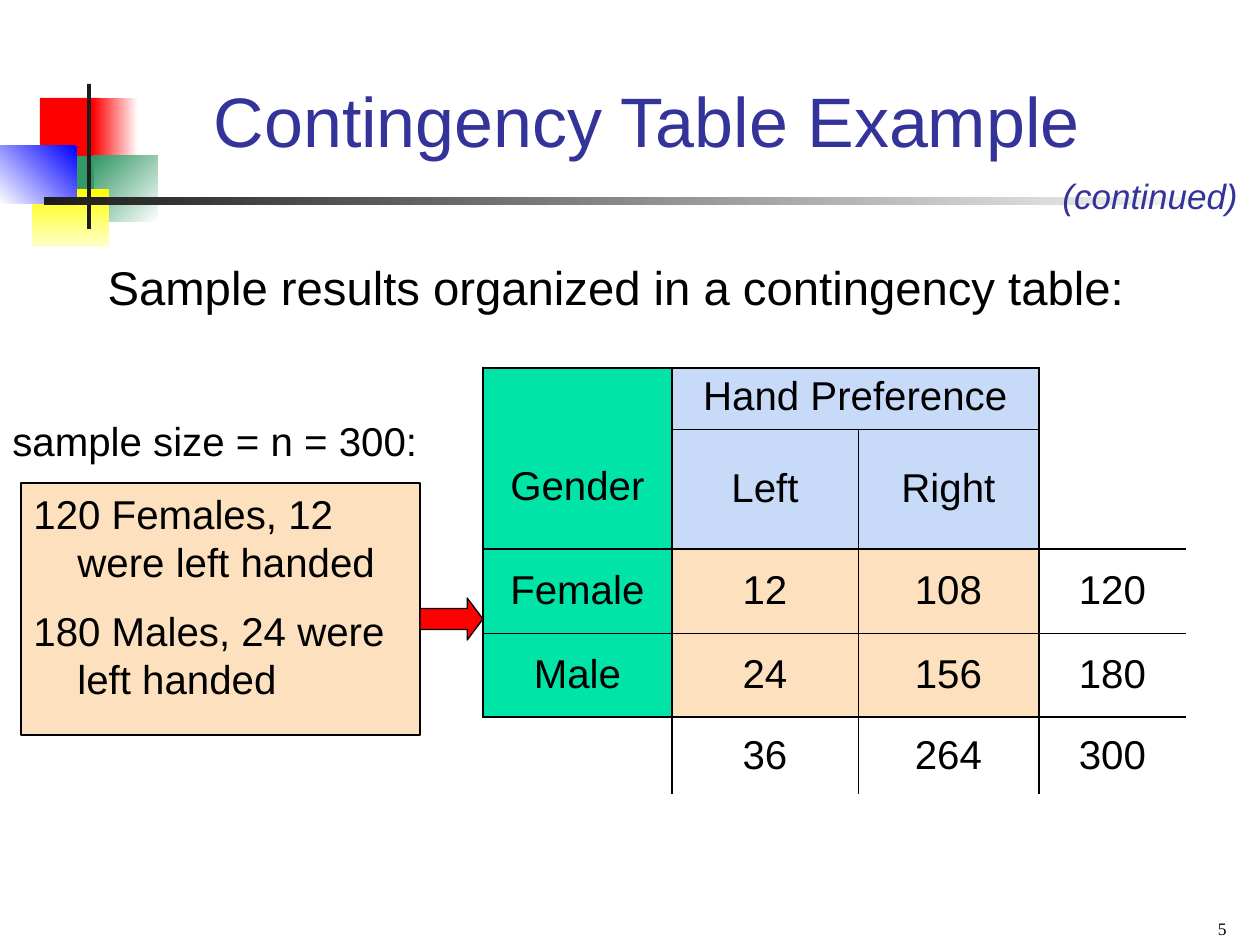
from pptx import Presentation
from pptx.dml.color import RGBColor as RGB
from pptx.enum.shapes import MSO_SHAPE as Shp
from pptx.enum.text import MSO_ANCHOR as Anc, MSO_AUTO_SIZE as Fit, PP_ALIGN as Al
from pptx.oxml.ns import qn
from pptx.util import Pt
from lxml.etree import SubElement as Sub

PX = 914400 / 126


class Theme:
    ink, navy, red = "000000", "333399", "FF0000"
    green, blue, peach = "00E4A8", "C7DAF7", "FDE0BD"
    font, serif = "Arial", "Times New Roman"
    head, lead, text, note, num = 40, 27, 23, 20, 10


# Content
TITLE = "Contingency Table Example"
LEAD = "Sample results organized in a contingency table:"
SIZE = "sample size = n = 300:"
FACTS = ["120 Females, 12 were left handed", "180 Males, 24 were left handed"]
ROWS = [
    ["Gender", "Hand Preference", "", ""],
    ["", "Left", "Right", ""],
    ["Female", "12", "108", "120"],
    ["Male", "24", "156", "180"],
    ["", "36", "264", "300"],
]
SPANS = [((0, 0), (1, 0)), ((0, 1), (0, 2)), ((0, 3), (1, 3))]
COLS, HIGH = [189, 186, 181, 147], [61, 120, 84, 84, 77]

# Border weights: upright edges by row, level edges from top to bottom
BOLD, MID, THIN = 1.47, 1.08, 0.45
BODY = [BOLD, MID, THIN, BOLD, 0]
EDGE_V = [[BOLD, MID, 0, BOLD, 0], BODY, BODY, BODY, [0, MID, THIN, MID, 0]]
EDGE_H = [
    [BOLD, BOLD, BOLD, 0],
    [0, THIN, THIN, 0],
    [MID] * 4,
    [THIN] * 4,
    [BOLD, BOLD, BOLD, MID],
    [0] * 4,
]

# Corner art: box, colours, clockwise gradient angle
ART = [
    ((40, 98, 60, 66), ["FF0000"], 0),
    ((93, 98, 45, 66), ["FFFFFF", "FF0000"], 180),
    ((94, 156, 64, 66), ["FFFFFF", "339966"], 225),
    ((54, 156, 40, 66), ["339966"], 0),
    ((32, 189, 77, 58), ["FFFF00", "FFFFCC"], 90),
    ((0, 146, 77, 58), ["0000FF", "FFFFFF"], 135),
    ((87, 84, 4, 145), ["1C1C1C"], 0),
    ((44, 197, 1198, 8), ["FFFFFF", "1C1C1C"], 180),
]


def px(n):
    return round(n * PX)


def paint(fill, tint):
    fill.solid()
    fill.fore_color.rgb = RGB.from_string(tint)


def write(frame, lines, size, tint=Theme.ink, font=Theme.font, al=Al.LEFT,
          anchor=Anc.TOP, hang=0, gap=0, italic=False):
    frame.word_wrap = True
    frame.vertical_anchor = anchor
    for i, line in enumerate(lines):
        par = frame.paragraphs[0] if i == 0 else frame.add_paragraph()
        par.text = line
        par.alignment = al
        par.space_before = Pt(gap if i else 0)
        props = par._p.get_or_add_pPr()
        props.set("marL", str(px(hang)))
        props.set("indent", str(-px(hang)))
        Sub(props, qn("a:buNone"))
        face = par.font
        face.name, face.size, face.italic = font, Pt(size), italic
        face.color.rgb = RGB.from_string(tint)


def shape(kind, box, tint=None, line=None):
    item = shapes.add_shape(kind, *map(px, box))
    item.shadow.inherit = False
    if tint:
        paint(item.fill, tint)
    if line:
        item.line.color.rgb = RGB.from_string(line)
        item.line.width = Pt(0.75)
    else:
        item.line.fill.background()
    return item


def holder(item, box, *args, **opts):
    item.left, item.top, item.width, item.height = map(px, box)
    shapes.element.append(item.element)  # bring above the corner art
    item.text_frame.auto_size = Fit.NONE
    write(item.text_frame, *args, **opts)


def label(box, *args, **opts):
    write(shapes.add_textbox(*map(px, box)).text_frame, *args, **opts)


def border(cell, r, c):
    props = cell._tc.get_or_add_tcPr()
    sides = {"L": EDGE_V[r][c], "R": EDGE_V[r][c + 1],
             "T": EDGE_H[r][c], "B": EDGE_H[r + 1][c]}
    for side, weight in sides.items():
        line = Sub(props, qn("a:ln" + side), w=str(Pt(weight)))
        if weight:
            Sub(Sub(line, qn("a:solidFill")), qn("a:srgbClr"), val=Theme.ink)
        else:
            Sub(line, qn("a:noFill"))


def tint_of(r, c):
    if r == 4 or c == 3:
        return None
    if c == 0:
        return Theme.green
    return Theme.blue if r < 2 else Theme.peach


deck = Presentation()
deck.slide_width, deck.slide_height = px(1260), px(945)
slide = deck.slides.add_slide(deck.slide_layouts[1])
shapes = slide.shapes

# Corner art
for box, tints, angle in ART:
    item = shape(Shp.RECTANGLE, box, tints[0])
    if len(tints) == 2:
        item.fill.gradient()
        item.fill.gradient_angle = 360 - angle
        for stop, tint in zip(item.fill.gradient_stops, tints):
            stop.color.rgb = RGB.from_string(tint)

# Title and lead
holder(shapes.title, (159, 32, 975, 136), [TITLE], Theme.head, Theme.navy,
       al=Al.CENTER, anchor=Anc.BOTTOM)
holder(slide.placeholders[1], (95, 252, 1092, 84), [LEAD], Theme.lead, hang=44)
label((1050, 168, 210, 55), ["(continued)"], Theme.note, Theme.navy, italic=True)

# Contingency table
grid = shapes.add_table(len(HIGH), len(COLS), px(483), px(368),
                        px(sum(COLS)), px(sum(HIGH))).table
grid.first_row = grid.horz_banding = False
for col, wide in zip(grid.columns, COLS):
    col.width = px(wide)
for row, high in zip(grid.rows, HIGH):
    row.height = px(high)
for start, end in SPANS:
    grid.cell(*start).merge(grid.cell(*end))
for r, row in enumerate(ROWS):
    for c, word in enumerate(row):
        cell = grid.cell(r, c)
        border(cell, r, c)
        tint = tint_of(r, c)
        if tint:
            paint(cell.fill, tint)
        else:
            cell.fill.background()
        if word:
            write(cell.text_frame, [word], Theme.text, al=Al.CENTER)
            cell.vertical_anchor = Anc.MIDDLE if r else Anc.TOP
grid.cell(0, 0).vertical_anchor = Anc.MIDDLE
grid.cell(0, 0).margin_top = px(62)

# Sample facts, arrow and labels
facts = shape(Shp.RECTANGLE, (21, 483, 399, 252), Theme.peach, Theme.ink)
write(facts.text_frame, FACTS, Theme.text, hang=44, gap=11.5)
arrow = shape(Shp.RIGHT_ARROW, (420, 598, 63, 42), Theme.red, Theme.ink)
arrow.adjustments[1] = 0.375
label((0, 410, 451, 73), [SIZE], Theme.text, hang=44)
label((945, 901, 294, 44), ["5"], Theme.num, font=Theme.serif, al=Al.RIGHT,
      anchor=Anc.BOTTOM)

deck.save("out.pptx")
